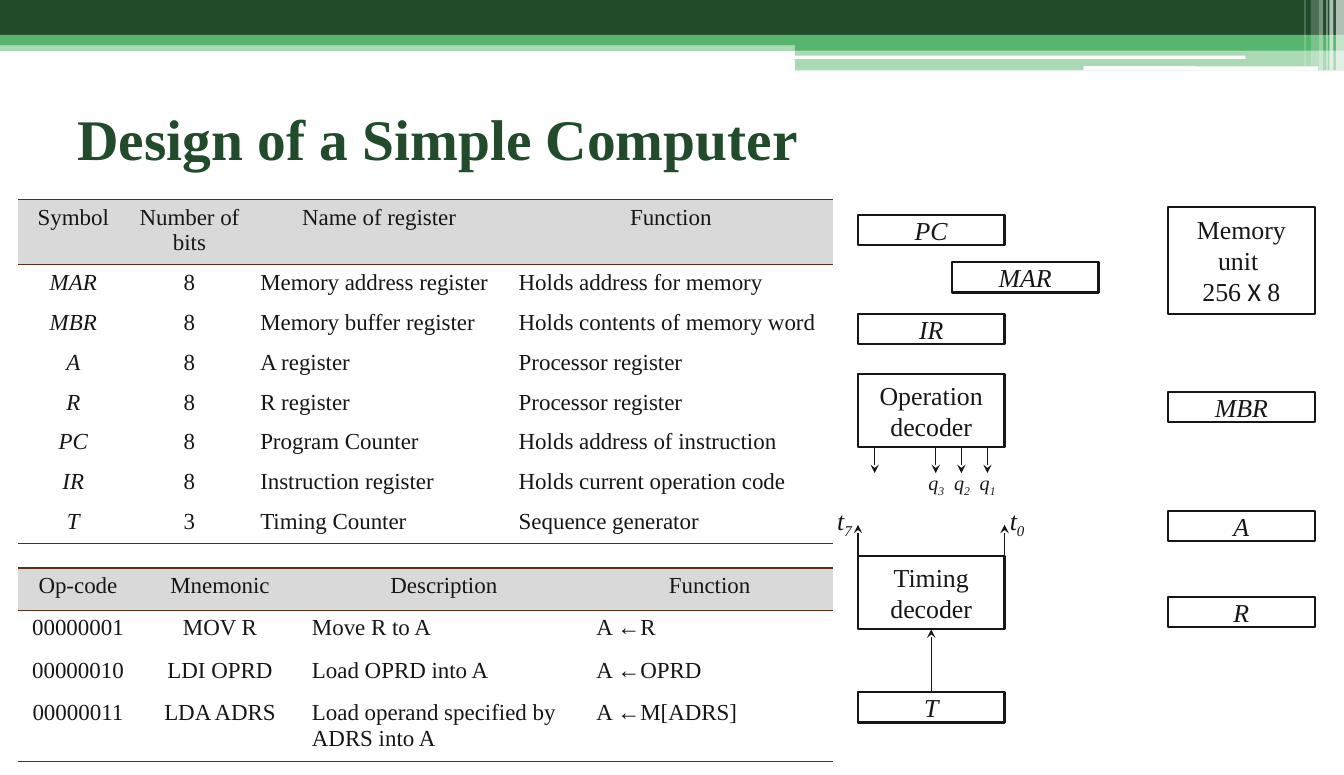
from lxml import etree
from pptx import Presentation
from pptx import util as u
from pptx.dml.color import RGBColor
from pptx.enum import shapes, text
from pptx.oxml import ns

Cm, Pt = u.Cm, u.Pt
COLORS = {"forest": "214B2B", "leaf": "57B56D", "ink": "161616",
          "rule": "5C2E14", "header": "D9D9D9", "white": "FFFFFF"}
SERIF = "Times New Roman"
CENTER, LEFT = text.PP_ALIGN.CENTER, text.PP_ALIGN.LEFT

REGISTERS = [
    ("Symbol", "Number of bits", "Name of register", "Function"),
    ("MAR", "8", "Memory address register", "Holds address for memory"),
    ("MBR", "8", "Memory buffer register", "Holds contents of memory word"),
    ("A", "8", "A register", "Processor register"),
    ("R", "8", "R register", "Processor register"),
    ("PC", "8", "Program Counter", "Holds address of instruction"),
    ("IR", "8", "Instruction register", "Holds current operation code"),
    ("T", "3", "Timing Counter", "Sequence generator"),
]
INSTRUCTIONS = [
    ("Op-code", "Mnemonic", "Description", "Function"),
    ("00000001", "MOV R", "Move R to A", "A ←R"),
    ("00000010", "LDI OPRD", "Load OPRD into A", "A ←OPRD"),
    ("00000011", "LDA ADRS", "Load operand specified by ADRS into A", "A ←M[ADRS]"),
]


def rgb(name):
    return RGBColor.from_string(COLORS[name])


def style(font, size, color="ink", name=SERIF, bold=False, italic=False):
    font.size, font.name, font.bold, font.italic = Pt(size), name, bold, italic
    font.color.rgb = rgb(color)


def add_box(page, left, top, width, height, kind=shapes.MSO_SHAPE.RECTANGLE):
    box = page.shapes.add_shape(kind, Cm(left), Cm(top), Cm(width), Cm(height))
    box.shadow.inherit = False
    return box


def add_banner(page, left, top):
    def bar(x, y, width, height, color, opacity=100, kind=shapes.MSO_SHAPE.RECTANGLE):
        box = add_box(page, left + x, top + y, width, height, kind)
        box.fill.solid()
        box.fill.fore_color.rgb = rgb(color)
        box.line.fill.background()
        if opacity < 100:
            shade = box.fill._xPr.find(".//" + ns.qn("a:srgbClr"))
            etree.SubElement(shade, ns.qn("a:alpha"), val=str(opacity * 1000))

    bar(0, 1.02, 33.02, 0.23, "leaf", 50)
    bar(0, 0, 33.02, 0.86, "forest")
    bar(0, 0.86, 33.02, 0.25, "leaf")
    bar(19.53, 0.99, 13.49, 0.25, "leaf")
    bar(19.53, 1.23, 13.49, 0.5, "leaf", 50)
    for x, y, width, height in [(19.53, 1.37, 11.07, 0.08), (26.62, 1.63, 5.77, 0.1)]:
        bar(x, y, width, height, "white", kind=shapes.MSO_SHAPE.ROUNDED_RECTANGLE)
    for x, width, height, opacity in [
            (32.82, 0.2, 1.73, 65), (32.66, 0.1, 1.73, 65), (32.59, 0.03, 1.73, 60),
            (32.41, 0.1, 1.73, 40), (32.21, 0.2, 1.63, 20), (32.05, 0.03, 1.63, 30)]:
        bar(x, 0, width, height, "white", opacity)


def add_title(page, left, top, width, height):
    box = page.shapes.add_textbox(Cm(left), Cm(top), Cm(width), Cm(height))
    frame = box.text_frame
    frame.word_wrap = True
    frame.vertical_anchor = text.MSO_ANCHOR.MIDDLE
    frame.text = "Design of a Simple Computer"
    style(frame.paragraphs[0].runs[0].font, 40, "forest", bold=True)


def set_borders(cell, ruled):
    props = cell._tc.get_or_add_tcPr()
    for index, side in enumerate(("lnL", "lnR", "lnT", "lnB")):
        line = etree.Element(ns.qn("a:" + side), w=str(Pt(1)))
        if side in ruled:
            fill = etree.SubElement(line, ns.qn("a:solidFill"))
            etree.SubElement(fill, ns.qn("a:srgbClr"), val=COLORS["rule"])
        else:
            etree.SubElement(line, ns.qn("a:noFill"))
        props.insert(index, line)


def add_grid(page, left, top, widths, heights, rows, italic_symbols=False):
    frame = page.shapes.add_table(len(rows), len(widths), Cm(left), Cm(top),
                                  Cm(sum(widths)), Cm(sum(heights)))
    table = frame.table
    table.first_row = table.horz_banding = False
    for column, width in zip(table.columns, widths):
        column.width = Cm(width)
    for row, height in zip(table.rows, heights):
        row.height = Cm(height)
    for i, values in enumerate(rows):
        ruled = {0: ("lnT", "lnB"), 1: ("lnT",), len(rows) - 1: ("lnB",)}.get(i, ())
        for j, value in enumerate(values):
            cell = table.cell(i, j)
            cell.text = value
            para = cell.text_frame.paragraphs[0]
            para.alignment = CENTER if i == 0 or j < 2 else LEFT
            style(para.runs[0].font, 16, italic=italic_symbols and i > 0 and j == 0)
            if i == 0:
                cell.fill.solid()
                cell.fill.fore_color.rgb = rgb("header")
            else:
                cell.fill.background()
            set_borders(cell, ruled)


def add_diagram(page, left, top):
    block_width, low = 3.6, 0.74
    left_column, right_column = 0.76, 8.38

    def block(x, y, height, lines, italic=False):
        box = add_box(page, left + x, top + y, block_width, height)
        box.fill.background()
        box.line.color.rgb = rgb("ink")
        box.line.width = Pt(1.5)
        frame = box.text_frame
        frame.word_wrap = True
        frame.vertical_anchor = text.MSO_ANCHOR.MIDDLE
        frame.text = "\n".join(lines)
        for para in frame.paragraphs:
            para.alignment = CENTER
            for span in para.runs:
                style(span.font, 18, italic=italic)
        return frame

    def arrow(x, start, end):
        line = page.shapes.add_connector(shapes.MSO_CONNECTOR.STRAIGHT, Cm(left + x),
                                         Cm(top + start), Cm(left + x), Cm(top + end))
        line.line.color.rgb = rgb("ink")
        line.line.width = Pt(0.75)
        etree.SubElement(line.line._get_or_add_ln(), ns.qn("a:tailEnd"), type="stealth")
        etree.SubElement(line._element.spPr, ns.qn("a:effectLst"))

    def signal(x, y, height, size, letter, index):
        box = page.shapes.add_textbox(Cm(left + x), Cm(top + y), Cm(0.91), Cm(height))
        box.text_frame.word_wrap = False
        para = box.text_frame.paragraphs[0]
        for part in (letter, index):
            span = para.add_run()
            span.text = part
            style(span.font, size, italic=True)
        span._r.get_or_add_rPr().set("baseline", "-25000")

    for name, x, y in [
            ("PC", left_column, 0.2), ("MAR", 3.07, 1.37), ("IR", left_column, 2.64),
            ("T", left_column, 11.94), ("MBR", right_column, 4.55),
            ("A", right_column, 7.49), ("R", right_column, 9.6)]:
        block(x, y, low, [name], italic=True)
    for name, y in [("Operation decoder", 4.11), ("Timing decoder", 8.59)]:
        block(left_column, y, 1.8, [name])

    memory = block(right_column, 0, 2.64, ["Memory unit ", "256 "])
    for part, font_name in [("X", "Calibri"), (" 8", SERIF)]:
        span = memory.paragraphs[1].add_run()
        span.text = part
        style(span.font, 18, name=font_name)

    arrow(left_column + block_width / 2, 11.94, 10.39)
    for x in (left_column, left_column + block_width):
        arrow(x, 8.59, 7.82)
    for x in (1.17, 2.67, 3.3, 3.94):
        arrow(x, 5.91, 6.55)
    for x, index in [(0, "7"), (4.24, "0")]:
        signal(x, 7.19, 1.02, 18, "t", index)
    for x, index in [(3.5, "1"), (2.87, "2"), (2.24, "3")]:
        signal(x, 6.35, 0.86, 14, "q", index)


def main():
    deck = Presentation()
    deck.slide_width, deck.slide_height = Cm(33.02), Cm(19.05)
    page = deck.slides.add_slide(deck.slide_layouts[6])
    add_banner(page, 0, 0)
    add_title(page, 1.65, 1.9, 29.72, 2.97)
    add_grid(page, 0.43, 4.9, [2.74, 2.97, 6.35, 7.98], [1.5] + [0.98] * 7,
             REGISTERS, italic_symbols=True)
    add_diagram(page, 20.32, 5.08)
    add_grid(page, 0.43, 13.96, [2.97, 4.01, 6.99, 6.07], [1.04] * 3 + [1.64], INSTRUCTIONS)
    deck.save("out.pptx")


if __name__ == "__main__":
    main()
